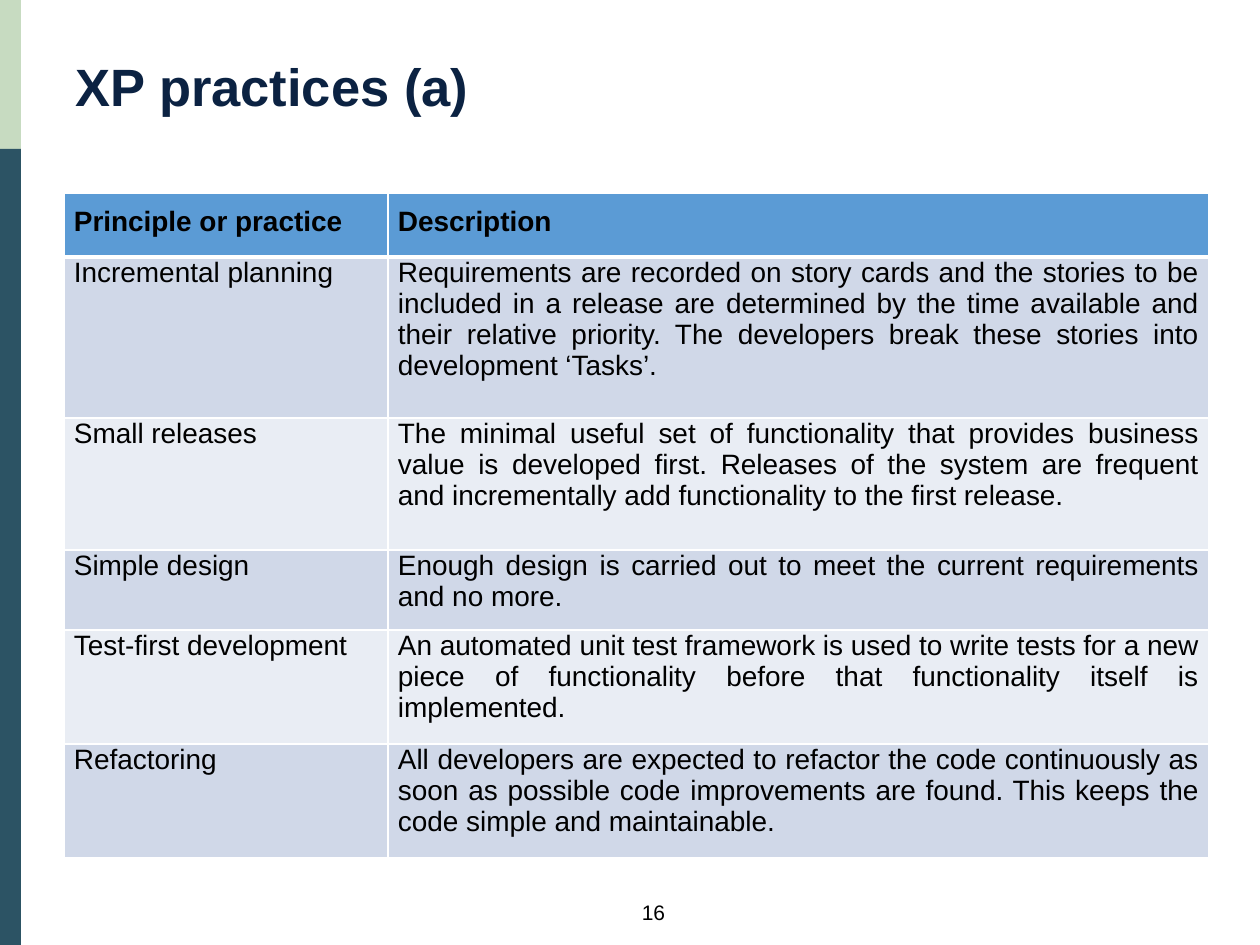
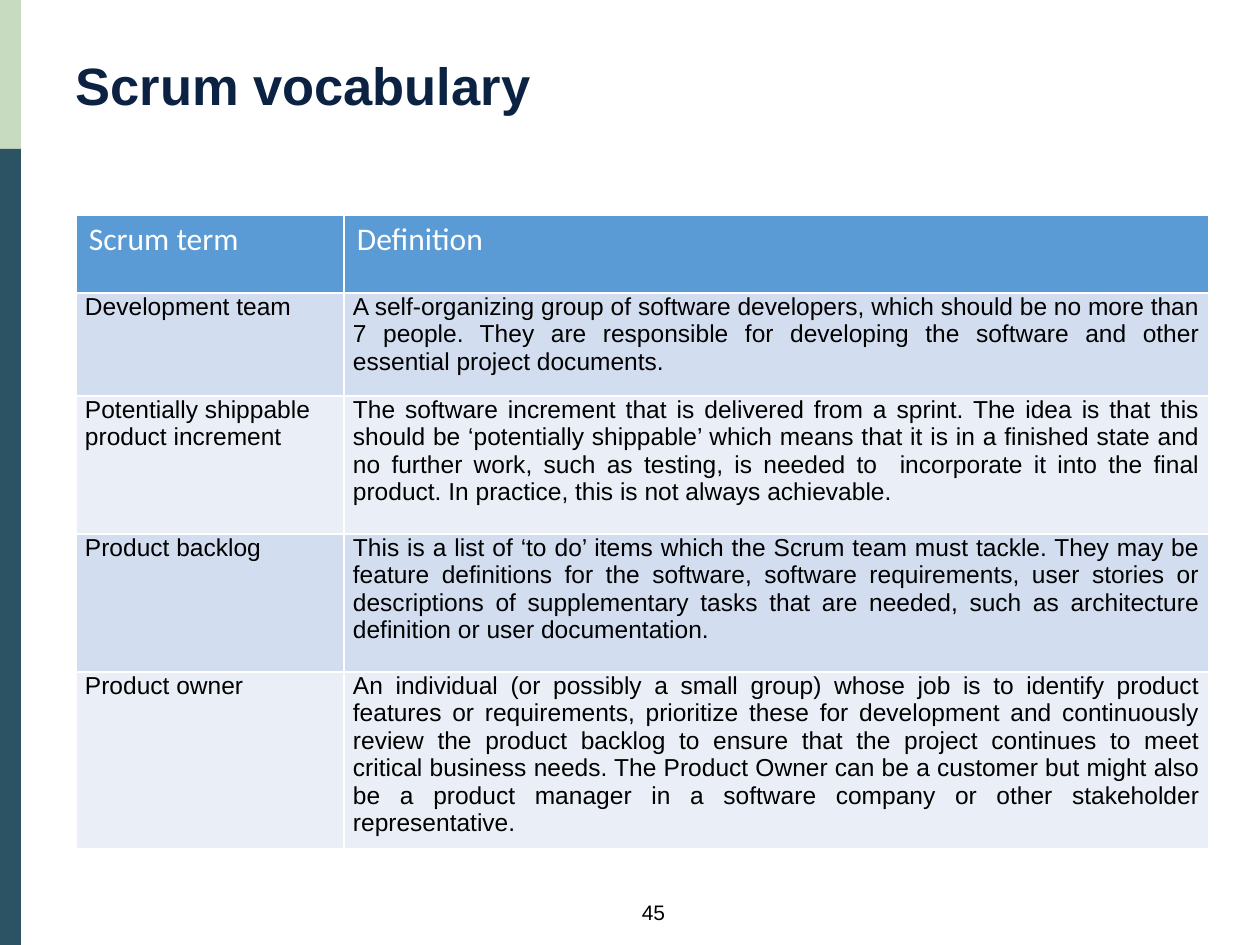
import dataclasses

import lxml.etree
import pptx
import pptx.dml.color
import pptx.enum.shapes
import pptx.enum.text
import pptx.oxml.ns
import pptx.util

ALIGN = pptx.enum.text.PP_ALIGN
TOP = pptx.enum.text.MSO_ANCHOR.TOP


@dataclasses.dataclass(frozen=True)
class Font:
    """Face, size, colour and weight of a run."""
    face: str
    size: int
    ink: str
    bold: bool = False


@dataclasses.dataclass(frozen=True)
class Theme:
    """Colours and type shared by the slides."""
    green: str = "C7DBC1"
    teal: str = "2C5364"
    blue: str = "5B9BD5"
    white: str = "FFFFFF"
    title: Font = Font("Arial", 30, "0B2242", True)
    page: Font = Font("Arial", 12, "000000")


@dataclasses.dataclass(frozen=True)
class Look:
    """Type, bands, margins and rule of one table."""
    head: Font
    body: Font
    bands: tuple
    headpad: tuple
    pad: tuple
    rule: int
    aligns: tuple
    topline: object


THEME = Theme()

XP = Look(Font("Arial", 16, "000000", True), Font("Arial", 16, "000000"),
          ("D0D8E8", "E9EDF4"), (10, 13, 10, 13), (10, 0, 10, 13), 3,
          (ALIGN.JUSTIFY, ALIGN.JUSTIFY), ALIGN.JUSTIFY)
SCRUM = Look(Font("Calibri", 18, "FFFFFF"), Font("Arial", 14, "000000"),
             ("D2DEEF", "EAEFF7"), (13, 6, 13, 6), (9, 0, 9, 0), 1,
             (ALIGN.LEFT, ALIGN.JUSTIFY), ALIGN.LEFT)

XP_ROWS = [
    ("Principle or practice", "Description"),
    ("Incremental planning",
     "Requirements are recorded on story cards and the stories to be included "
     "in a release are determined by the time available and their relative "
     "priority. The developers break these stories into development ‘Tasks’."),
    ("Small releases",
     "The minimal useful set of functionality that provides business value is "
     "developed first. Releases of the system are frequent and incrementally "
     "add functionality to the first release."),
    ("Simple design",
     "Enough design is carried out to meet the current requirements and no "
     "more."),
    ("Test-first development",
     "An automated unit test framework is used to write tests for a new piece "
     "of functionality before that functionality itself is implemented."),
    ("Refactoring",
     "All developers are expected to refactor the code continuously as soon as "
     "possible code improvements are found. This keeps the code simple and "
     "maintainable."),
]

SCRUM_ROWS = [
    ("Scrum term", "Definition"),
    ("Development team",
     "A self-organizing group of software developers, which should be no more "
     "than 7 people. They are responsible for developing the software and "
     "other essential project documents."),
    ("Potentially shippable product increment",
     "The software increment that is delivered from a sprint. The idea is that "
     "this should be ‘potentially shippable’ which means that it is in a "
     "finished state and no further work, such as testing, is needed to  "
     "incorporate it into the final product. In practice, this is not always "
     "achievable."),
    ("Product backlog",
     "This is a list of ‘to do’ items which the Scrum team must tackle. They "
     "may be feature definitions for the software, software requirements, user "
     "stories or descriptions of supplementary tasks that are needed, such as "
     "architecture definition or user documentation."),
    ("Product owner",
     "An individual (or possibly a small group) whose job is to identify "
     "product features or requirements, prioritize these for development and "
     "continuously review the product backlog to ensure that the project "
     "continues to meet critical business needs. The Product Owner can be a "
     "customer but might also be a product manager in a software company or "
     "other stakeholder representative."),
]


def px(count):
    """Turn pixels into EMU."""
    return pptx.util.Emu(round(count * 914400 / 126))


def paint(fill, ink):
    """Fill with one solid colour."""
    fill.solid()
    fill.fore_color.rgb = pptx.dml.color.RGBColor.from_string(ink)


def write(frame, text, font, align):
    """Write one run into the first paragraph of a frame."""
    frame.word_wrap = True
    para = frame.paragraphs[0]
    para.alignment = align
    run = para.add_run()
    run.text = text
    run.font.name = font.face
    run.font.size = pptx.util.Pt(font.size)
    run.font.bold = font.bold
    run.font.color.rgb = pptx.dml.color.RGBColor.from_string(font.ink)
    return para


def band(slide, top, height, ink):
    """Draw one part of the left edge band."""
    shape = slide.shapes.add_shape(pptx.enum.shapes.MSO_SHAPE.RECTANGLE,
                                   0, px(top), px(21), px(height))
    shape.shadow.inherit = False
    paint(shape.fill, ink)
    shape.line.fill.background()


def start(deck, title, top, page):
    """Add a slide with its bands, title and page number."""
    slide = deck.slides.add_slide(deck.slide_layouts[5])
    band(slide, 0, 149, THEME.green)
    band(slide, 149, 796, THEME.teal)
    head = slide.shapes.title
    head.left, head.top, head.width, head.height = map(px, (63, top, 1040, 86))
    head.text_frame.vertical_anchor = TOP
    head.text_frame.auto_size = pptx.enum.text.MSO_AUTO_SIZE.NONE
    para = write(head.text_frame, title, THEME.title, ALIGN.LEFT)
    para.line_spacing = pptx.util.Pt(THEME.title.size)
    box = slide.shapes.add_textbox(*map(px, (557, 893, 193, 38)))
    write(box.text_frame, page, THEME.page, ALIGN.CENTER)
    return slide


def edge(cell, widths):
    """Draw white borders on the left, right, top and bottom of a cell."""
    props = cell._tc.get_or_add_tcPr()
    name = pptx.oxml.ns.qn
    for side, width in zip("LRTB", widths):
        line = lxml.etree.SubElement(props, name(f"a:ln{side}"),
                                     w=str(pptx.util.Pt(width)))
        fill = lxml.etree.SubElement(line, name("a:solidFill"))
        lxml.etree.SubElement(fill, name("a:srgbClr"), val=THEME.white)


def grid(slide, left, top, cols, highs, rows, look):
    """Add a table with a header row and banded body rows."""
    frame = slide.shapes.add_table(len(rows), len(cols), px(left), px(top),
                                   px(sum(cols)), px(sum(highs)))
    table = frame.table
    for col, width in zip(table.columns, cols):
        col.width = px(width)
    for row, high in zip(table.rows, highs):
        row.height = px(high)
    for i, texts in enumerate(rows):
        font = look.body if i else look.head
        pad = look.pad if i else look.headpad
        ink = look.bands[(i - 1) % 2] if i else THEME.blue
        above = look.rule if i == 1 else 1
        below = look.rule if i == 0 else 1
        for j, text in enumerate(texts):
            cell = table.cell(i, j)
            edge(cell, (1, 1, above, below))
            paint(cell.fill, ink)
            (cell.margin_left, cell.margin_top,
             cell.margin_right, cell.margin_bottom) = map(px, pad)
            cell.vertical_anchor = TOP
            write(cell.text_frame, text, font,
                  look.aligns[j] if i else look.topline)


def main():
    """Build and save the two slides."""
    deck = pptx.Presentation()
    deck.slide_width, deck.slide_height = px(1260), px(945)
    slide = start(deck, "XP practices (a)", 58, "16")
    grid(slide, 64, 193, (324, 821), (64, 161, 132, 75, 106, 106),
         XP_ROWS, XP)
    slide = start(deck, "Scrum vocabulary", 57, "45")
    grid(slide, 76, 215, (268, 865), (78, 103, 138, 138, 165),
         SCRUM_ROWS, SCRUM)
    deck.save("out.pptx")


if __name__ == "__main__":
    main()
